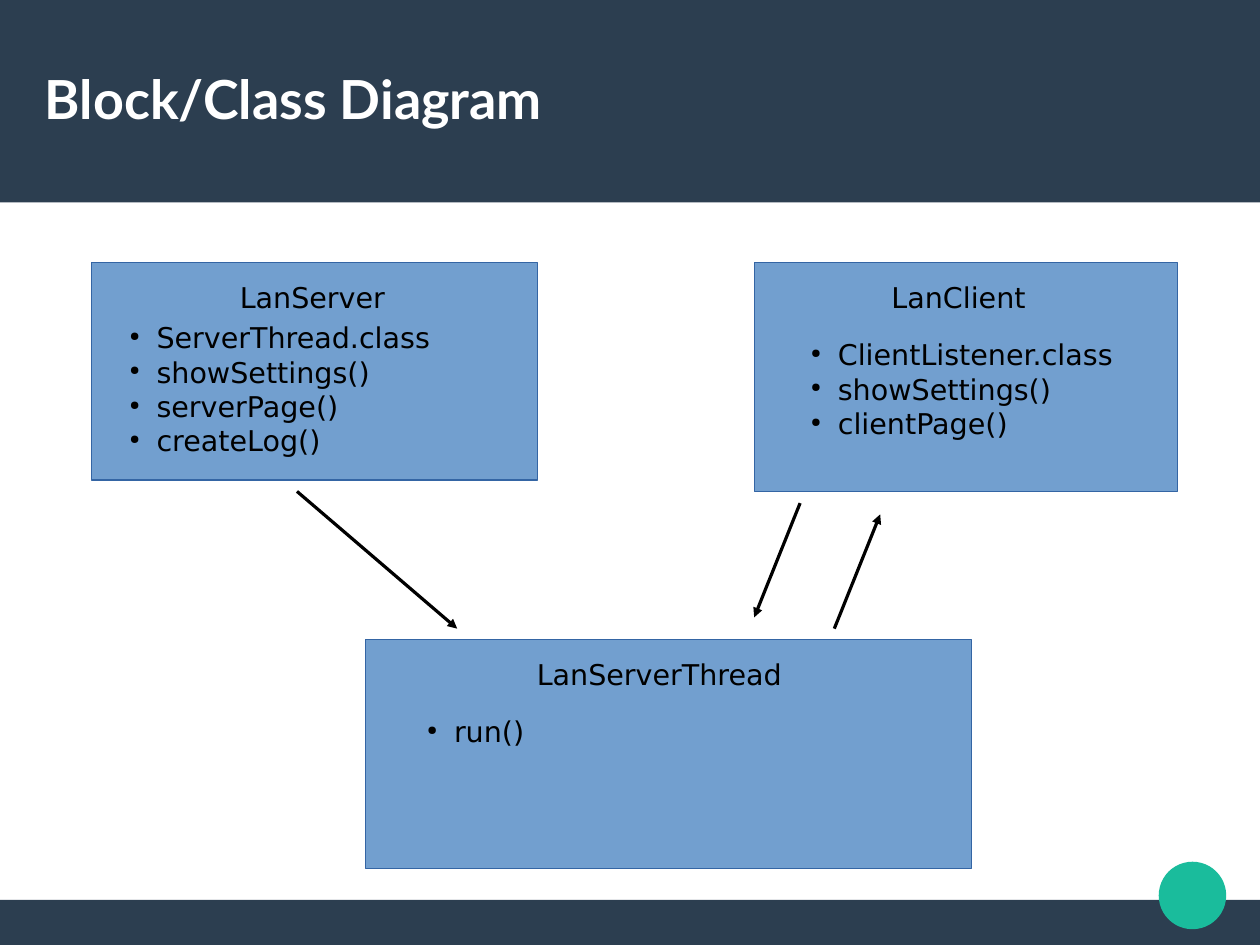
from typing import NamedTuple

from lxml import etree
from pptx import Presentation
from pptx import util as u
from pptx.dml.color import RGBColor
from pptx.enum import shapes, text
from pptx.oxml import ns

HUES = {"navy": "2C3E50", "teal": "1ABC9C", "blue": "729FCF",
        "edge": "3465A4", "black": "000000", "white": "FFFFFF"}
RECT = shapes.MSO_SHAPE.RECTANGLE
OVAL = shapes.MSO_SHAPE.OVAL


class Area(NamedTuple):
    """Left, top, width and height in centimetres."""
    left: float
    top: float
    width: float
    height: float


class Block(NamedTuple):
    area: Area
    name: str
    head: Area
    items: tuple[str, ...]
    list_area: Area | None  # None: the list sits in the block itself


class Arrow(NamedTuple):
    x1: float
    y1: float
    x2: float
    y2: float


BANDS = [(RECT, Area(0, 20, 28, 1), "navy"),
         (RECT, Area(0, 0, 28, 4.5), "navy"),
         (OVAL, Area(25.75, 19.15, 1.5, 1.5), "teal")]
BLOCKS = [
    Block(Area(2.03, 5.84, 9.91, 4.83), "LanServer",
          Area(5.08, 6.1, 4.57, 1),
          ("ServerThread.class", "showSettings()", "serverPage()",
           "createLog()"), None),
    Block(Area(16.76, 5.84, 9.4, 5.08), "LanClient",
          Area(19.56, 6.1, 4.32, 1),
          ("ClientListener.class", "showSettings()", "clientPage()"),
          Area(17.17, 7.37, 7.98, 3)),
    Block(Area(8.13, 14.22, 13.46, 5.08), "LanServerThread",
          Area(11.68, 14.48, 9.14, 1),
          ("run()",), Area(8.64, 15.75, 4.06, 1)),
]
ARROWS = [Arrow(6.6, 10.92, 10.16, 13.97),
          Arrow(18.54, 13.97, 19.56, 11.43),
          Arrow(17.78, 11.18, 16.76, 13.72)]


def hue(key: str) -> RGBColor:
    return RGBColor.from_string(HUES[key])


def cms(vals: tuple) -> list:
    return [u.Cm(val) for val in vals]


def add_node(parent, tag: str, **attrs: str):
    return etree.SubElement(parent, ns.qn(tag), attrs)


def add_form(kind, area: Area, fill: str, edge: str | None = None):
    form = slide.shapes.add_shape(kind, *cms(area))
    form.shadow.inherit = False
    form.fill.solid()
    form.fill.fore_color.rgb = hue(fill)
    if edge:
        form.line.color.rgb = hue(edge)
        form.line.width = u.Pt(0)
    else:
        form.line.fill.background()
    return form


def add_run(para, words: str, size: float = 18, face: str = "DejaVu Sans",
            tint: str = "black", bold: bool = False) -> None:
    run = para.add_run()
    run.text = words
    run.font.size, run.font.name, run.font.bold = u.Pt(size), face, bold
    run.font.color.rgb = hue(tint)


def add_box(area: Area):
    frame = slide.shapes.add_textbox(*cms(area)).text_frame
    frame.word_wrap = True
    return frame


def add_list(frame, items: tuple[str, ...]) -> None:
    for num, item in enumerate(items):
        para = frame.add_paragraph() if num else frame.paragraphs[0]
        para.alignment = text.PP_ALIGN.LEFT
        para.level = 1
        props = para._p.get_or_add_pPr()
        props.set("marL", str(u.Cm(1.2)))
        props.set("indent", str(u.Cm(-0.6)))
        add_node(add_node(props, "a:buClr"), "a:srgbClr", val=HUES["black"])
        add_node(props, "a:buSzPct", val="45000")
        add_node(props, "a:buChar", char="●")
        add_run(para, item)


def add_block(block: Block) -> None:
    form = add_form(RECT, block.area, "blue", "edge")
    add_run(add_box(block.head).paragraphs[0], block.name)
    if block.list_area:
        frame = add_box(block.list_area)
    else:
        frame = form.text_frame
        frame.word_wrap = True
        frame.vertical_anchor = text.MSO_ANCHOR.MIDDLE
        frame.margin_top = u.Cm(0.9)  # room for the block's name
    add_list(frame, block.items)


def add_arrow(arrow: Arrow) -> None:
    link = slide.shapes.add_connector(
        shapes.MSO_CONNECTOR.STRAIGHT, *cms(arrow))
    link.line.color.rgb = hue("black")
    link.line.width = u.Pt(0)
    add_node(link.line._get_or_add_ln(), "a:tailEnd", type="triangle")
    add_node(link._element.spPr, "a:effectLst")


# Page
deck = Presentation()
deck.slide_width, deck.slide_height = cms((28, 21))
slide = deck.slides.add_slide(deck.slide_layouts[6])

# Bands and corner dot
for kind, area, fill in BANDS:
    add_form(kind, area, fill)

# Title
title = add_box(Area(1, 0.85, 26, 2.67))
title.margin_left = title.margin_right = 0
title.margin_top = title.margin_bottom = 0
title.vertical_anchor = text.MSO_ANCHOR.MIDDLE
add_run(title.paragraphs[0], "Block/Class Diagram", 33.9, "Lato", "white", True)

# Class blocks and the arrows between them
for block in BLOCKS:
    add_block(block)
for arrow in ARROWS:
    add_arrow(arrow)

deck.save("out.pptx")
